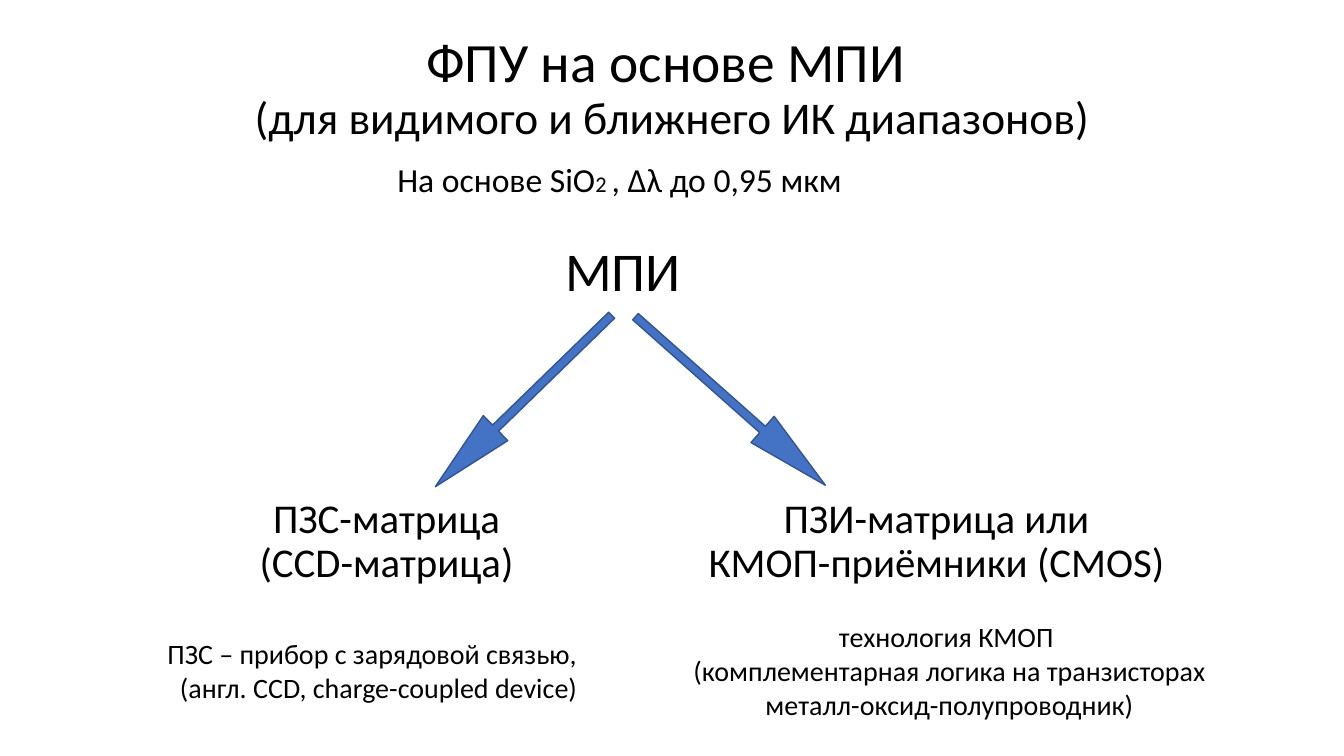
from pptx import Presentation
from pptx import util as u
from pptx.dml.color import RGBColor
from pptx.enum import shapes, text

PX = 914400 / 100.8  # EMU in one px
BLACK = RGBColor(0x00, 0x00, 0x00)
BLUE = RGBColor(0x44, 0x72, 0xC4)
DARK_BLUE = RGBColor(0x32, 0x54, 0x91)
FONT = "Calibri"


def px(*lengths):
    return [u.Emu(round(length * PX)) for length in lengths]


def write(holder, paragraphs, size, spacing=None, anchor=text.MSO_ANCHOR.TOP):
    """Each paragraph is a list of (words, size or None for the common size)."""
    frame = holder.text_frame
    frame.word_wrap = True
    frame.auto_size = text.MSO_AUTO_SIZE.NONE
    frame.vertical_anchor = anchor
    for i, parts in enumerate(paragraphs):
        paragraph = frame.add_paragraph() if i else frame.paragraphs[0]
        paragraph.alignment = text.PP_ALIGN.CENTER
        if spacing:
            paragraph.line_spacing = spacing
        for words, own_size in parts:
            for j, line in enumerate(words.split("\n")):
                if j:
                    paragraph.add_line_break()
                if line:
                    run = paragraph.add_run()
                    run.text = line
                    run.font.name = FONT
                    run.font.size = u.Pt(own_size or size)
                    run.font.color.rgb = BLACK


def add_label(slide, box, paragraphs, size, **layout):
    write(slide.shapes.add_textbox(*px(*box)), paragraphs, size, **layout)


def add_heading(slide, box):
    """Title with the material line below it."""
    left, top, width, height = box
    title = slide.shapes.title
    title.left, title.top, title.width, title.height = px(left, top, width, height)
    write(title,
          [[("ФПУ на основе МПИ \n", None),
            ("(для видимого и ближнего ИК диапазонов)", 32.4)]],
          39.6, spacing=0.9, anchor=text.MSO_ANCHOR.MIDDLE)
    add_label(slide, (left + 287, top + 103, 473, 50),
              [[("На основе SiO", None), ("2 ", 16), (", Δλ до 0,95 мкм", None)]], 24)


def add_arrow(slide, box, rotation):
    arrow = slide.shapes.add_shape(shapes.MSO_SHAPE.DOWN_ARROW, *px(*box))
    arrow.rotation = rotation
    arrow.adjustments[0], arrow.adjustments[1] = 0.241, 2.402
    arrow.shadow.inherit = False
    arrow.fill.solid()
    arrow.fill.fore_color.rgb = BLUE
    arrow.line.color.rgb = DARK_BLUE
    arrow.line.width = u.Pt(1)


def add_root(slide, box):
    """Tree root with its two arrows."""
    left, top, width, height = box
    add_label(slide, box, [[("МПИ", None)]], 39, spacing=0.9,
              anchor=text.MSO_ANCHOR.MIDDLE)
    add_arrow(slide, (left + 459, top + 43, 35, 246), 45.8)
    add_arrow(slide, (left + 666, top + 39, 35, 254), 311.6)


def add_branch(slide, box, name, note, note_box):
    """Matrix type with its explanation; note_box is relative to box."""
    add_label(slide, box, name, 29.2, spacing=0.9, anchor=text.MSO_ANCHOR.MIDDLE)
    dx, dy, width, height = note_box
    add_label(slide, (box[0] + dx, box[1] + dy, width, height), [[(note, None)]], 20)


def main():
    deck = Presentation()
    deck.slide_width, deck.slide_height = px(1344, 756)
    slide = deck.slides.add_slide(deck.slide_layouts[5])

    add_heading(slide, (96, 51, 1152, 77))
    add_root(slide, (47, 235, 1152, 77))

    # Left branch: CCD
    add_branch(slide, (186, 484, 401, 117),
               [[("ПЗС-матрица", None)], [("(CCD-матрица)", None)]],
               "ПЗС – прибор с зарядовой связью, \n (англ. CCD, charge-coupled device)",
               (-74, 148, 527, 78))

    # Right branch: CMOS
    add_branch(slide, (682, 484, 509, 117),
               [[("ПЗИ-матрица или\nКМОП-приёмники (CMOS)", None)]],
               "технология КМОП \n(комплементарная логика на транзисторах "
               "металл-оксид-полупроводник)",
               (-43, 131, 621, 112))

    deck.save("out.pptx")


if __name__ == "__main__":
    main()
